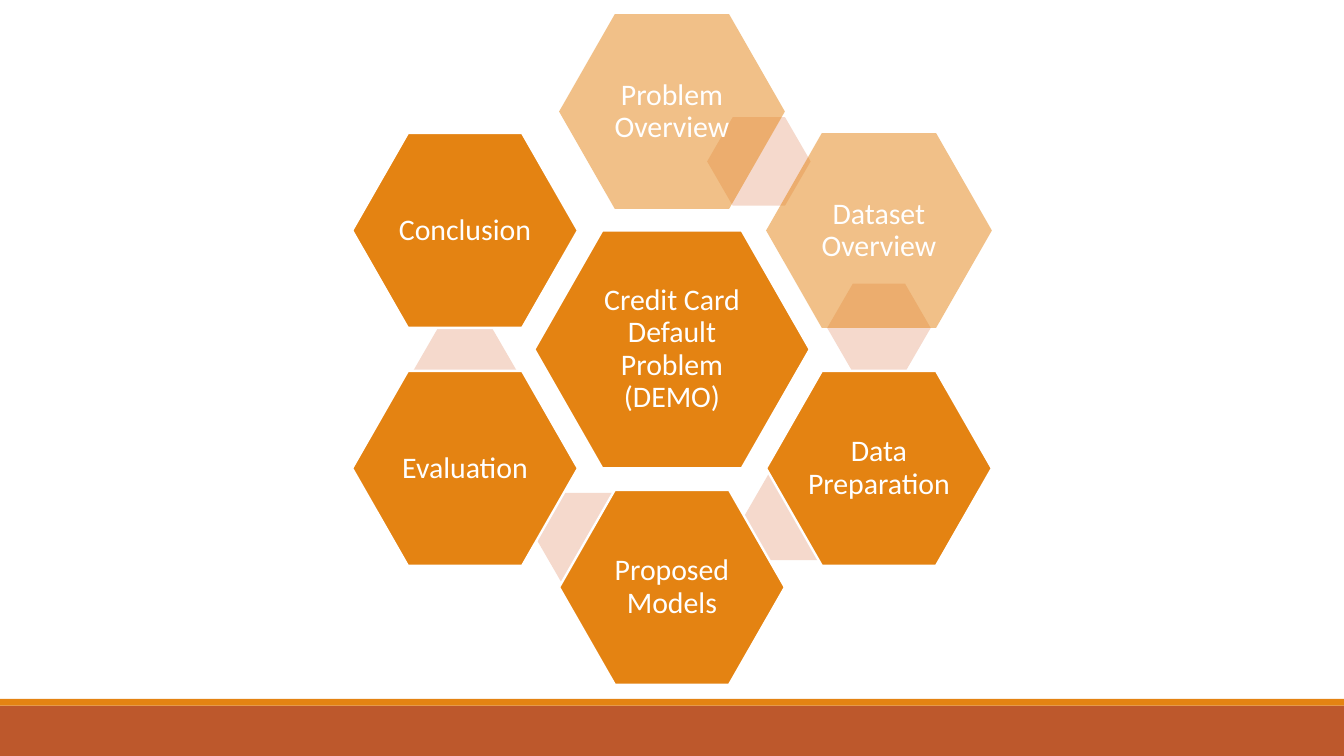
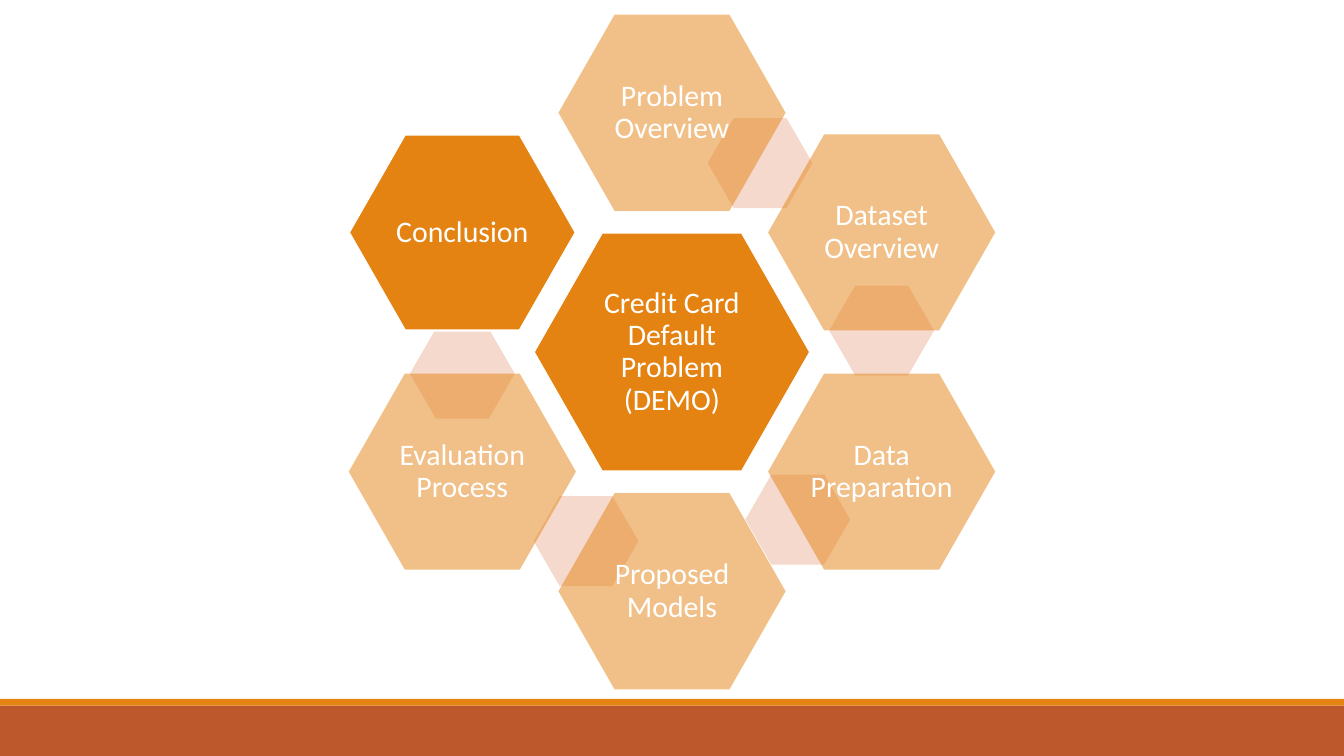
from dataclasses import dataclass

from lxml import etree
from pptx import Presentation
from pptx import util as u
from pptx.dml.color import RGBColor
from pptx.enum import shapes, text
from pptx.oxml import ns

COLORS = {
    "topic": "E48312",
    "link": "F5D9CC",
    "footer": "BD582C",
    "white": "FFFFFF",
}
FONT = "Calibri"
SLIDE_W, SLIDE_H = 10, 5.625
FOOTER_TOP, STRIPE_TOP = 5.25, 5.2
TOPIC_ADJ, LINK_ADJ = 0.286, 0.289

TOPIC_STEPS = [(0, -1), (1, -0.5), (1, 0.5), (0, 1), (-1, 0.5), (-1, -0.5)]
LINK_STEPS = [(0.42, -0.79), (1, -0.09), (0.6, 0.7), (-0.41, 0.79), (-1, 0.09)]


@dataclass(frozen=True)
class Size:
    width: float
    height: float


@dataclass(frozen=True)
class Topic:
    label: str
    done: bool = False


@dataclass(frozen=True)
class Agenda:
    center_y: float
    step_x: float
    step_y: float
    hub: Size
    cell: Size
    link: Size
    topics: tuple[Topic, ...]


HUB_TOPIC = Topic("Credit Card Default Problem (DEMO)")
AGENDAS = [
    Agenda(
        2.6, 1.54, 1.77, Size(2.05, 1.77), Size(1.68, 1.45), Size(0.77, 0.66),
        (
            Topic("Problem Overview", True),
            Topic("Dataset Overview", True),
            Topic("Data Preparation"),
            Topic("Proposed Models"),
            Topic("Evaluation"),
            Topic("Conclusion"),
        ),
    ),
    Agenda(
        2.62, 1.56, 1.78, Size(2.06, 1.78), Size(1.69, 1.46), Size(0.78, 0.67),
        (
            Topic("Problem Overview", True),
            Topic("Dataset Overview", True),
            Topic("Data Preparation", True),
            Topic("Proposed Models", True),
            Topic("Evaluation Process", True),
            Topic("Conclusion"),
        ),
    ),
]


def rgb(role: str) -> RGBColor:
    return RGBColor.from_string(COLORS[role])


def add_filled(canvas, preset, left: float, top: float, size: Size, role: str):
    outline = canvas.add_shape(
        preset, u.Inches(left), u.Inches(top),
        u.Inches(size.width), u.Inches(size.height),
    )
    outline.shadow.inherit = False
    outline.fill.solid()
    outline.fill.fore_color.rgb = rgb(role)
    outline.line.fill.background()
    return outline


def add_hexagon(canvas, agenda: Agenda, step: tuple[float, float],
                size: Size, role: str, adjustment: float):
    center_x = SLIDE_W / 2 + step[0] * agenda.step_x
    center_y = agenda.center_y + step[1] * agenda.step_y
    hexagon = add_filled(
        canvas, shapes.MSO_SHAPE.HEXAGON,
        center_x - size.width / 2, center_y - size.height / 2, size, role,
    )
    hexagon.adjustments[0] = adjustment
    return hexagon


def fade(hexagon) -> None:
    for color in hexagon.element.spPr.iter(ns.qn("a:srgbClr")):
        etree.SubElement(color, ns.qn("a:alpha")).set("val", "50000")


def add_topic(canvas, agenda: Agenda, step: tuple[float, float],
              size: Size, topic: Topic) -> None:
    hexagon = add_hexagon(canvas, agenda, step, size, "topic", TOPIC_ADJ)
    if topic.done:
        fade(hexagon)
    else:
        hexagon.line.color.rgb = rgb("white")
        hexagon.line.width = u.Pt(1.25)

    frame = hexagon.text_frame
    frame.word_wrap = True
    frame.vertical_anchor = text.MSO_ANCHOR.MIDDLE
    frame.margin_left = frame.margin_right = u.Inches(0.02)
    frame.margin_top = frame.margin_bottom = u.Inches(0.02)
    label = frame.paragraphs[0]
    label.text = topic.label
    label.alignment = text.PP_ALIGN.CENTER
    label.line_spacing = 0.9
    label.font.name = FONT
    label.font.size = u.Pt(16)
    label.font.color.rgb = rgb("white")


def add_agenda(slide, agenda: Agenda) -> None:
    ring = slide.shapes.add_group_shape().shapes
    add_topic(ring, agenda, (0, 0), agenda.hub, HUB_TOPIC)
    for position, topic in enumerate(agenda.topics):
        if position < len(LINK_STEPS):
            add_hexagon(ring, agenda, LINK_STEPS[position], agenda.link,
                        "link", LINK_ADJ)
        add_topic(ring, agenda, TOPIC_STEPS[position], agenda.cell, topic)


def add_master_bands(deck, slide) -> None:
    bands = [
        (FOOTER_TOP, SLIDE_H - FOOTER_TOP, "footer"),
        (STRIPE_TOP, FOOTER_TOP - STRIPE_TOP, "topic"),
    ]
    master_tree = deck.slide_master.shapes.element
    for number, (top, height, role) in enumerate(bands, start=101):
        band = add_filled(slide.shapes, shapes.MSO_SHAPE.RECTANGLE,
                          0, top, Size(SLIDE_W, height), role)
        band.element.xpath("./p:nvSpPr/p:cNvPr")[0].set("id", str(number))
        master_tree.append(band.element)


def build() -> None:
    deck = Presentation()
    deck.slide_width = u.Inches(SLIDE_W)
    deck.slide_height = u.Inches(SLIDE_H)
    blank = deck.slide_layouts.get_by_name("Blank")
    agenda_slides = [deck.slides.add_slide(blank) for _ in AGENDAS]
    add_master_bands(deck, agenda_slides[0])
    for slide, agenda in zip(agenda_slides, AGENDAS):
        add_agenda(slide, agenda)
    deck.save("out.pptx")


build()
